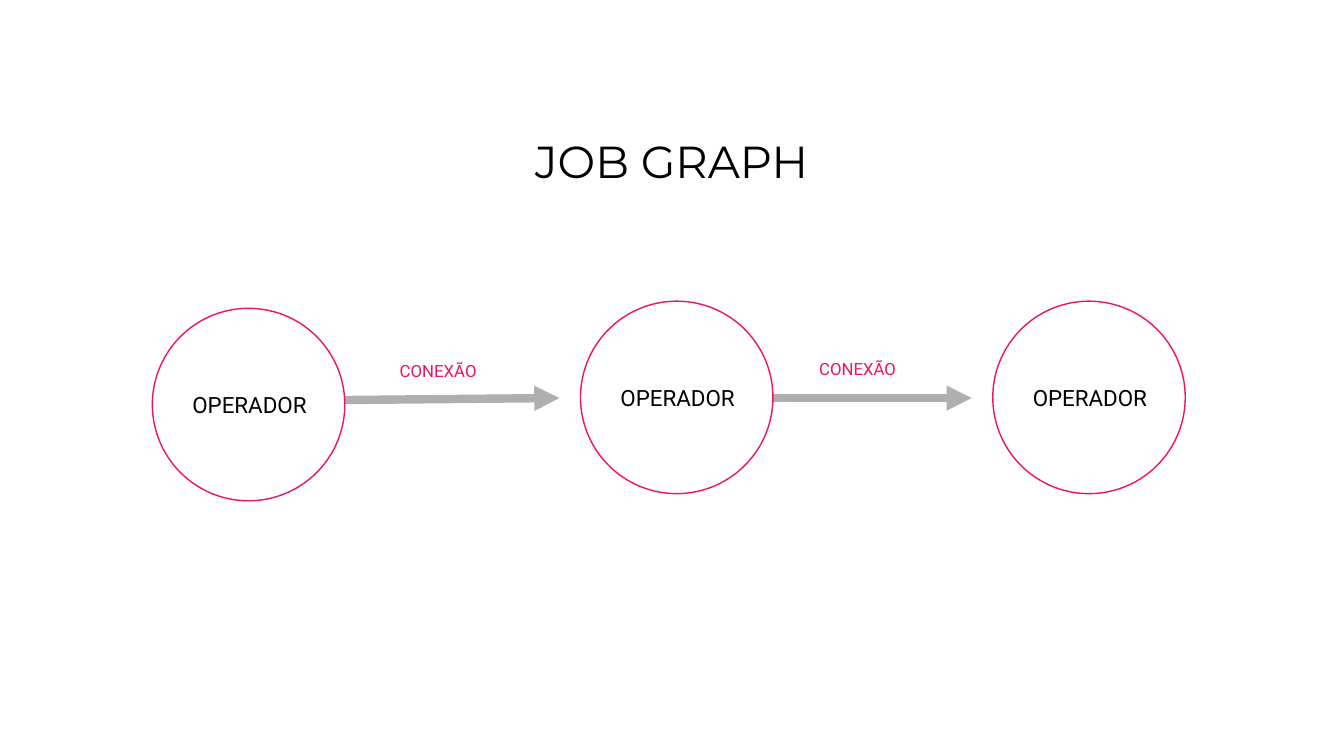
from lxml.etree import SubElement
from pptx import Presentation
from pptx.dml.color import RGBColor
from pptx.enum.shapes import MSO_CONNECTOR, MSO_SHAPE
from pptx.enum.text import MSO_ANCHOR, MSO_AUTO_SIZE, PP_ALIGN
from pptx.oxml.ns import qn
from pptx.util import Cm, Pt

BLACK = RGBColor(0x00, 0x00, 0x00)
WHITE = RGBColor(0xFF, 0xFF, 0xFF)
GRAY = RGBColor(0xAF, 0xAF, 0xAF)
PINK = RGBColor(0xED, 0x14, 0x5B)

DIAMETER = 4.85
ARROW_GAP = 0.53
operators = [(3.84, 7.77), (14.63, 7.59), (25.02, 7.59)]
arrow_heights = [(10.08, 10.03), (10.03, 10.03)]
labels = [(9.37, 8.97), (19.94, 8.92)]


def write(shape, text, font_name, size, color, alignment):
    frame = shape.text_frame
    frame.text = text
    frame.word_wrap = True
    paragraph = frame.paragraphs[0]
    paragraph.alignment = alignment
    font = paragraph.runs[0].font
    font.name = font_name
    font.size = Pt(size)
    font.color.rgb = color


presentation = Presentation()
presentation.slide_width = Cm(33.87)
presentation.slide_height = Cm(19.05)
slide = presentation.slides.add_slide(presentation.slide_layouts[5])

title = slide.shapes.title
title.left, title.top, title.width, title.height = Cm(5.54), Cm(3.23), Cm(22.78), Cm(1.63)
write(title, "JOB GRAPH", "Montserrat", 32, BLACK, PP_ALIGN.CENTER)
title.text_frame.vertical_anchor = MSO_ANCHOR.TOP
title.text_frame.auto_size = MSO_AUTO_SIZE.SHAPE_TO_FIT_TEXT

# Each arrow runs from one operator to just before the next
for (left, _), (next_left, _), (start_y, end_y) in zip(operators, operators[1:], arrow_heights):
    arrow = slide.shapes.add_connector(
        MSO_CONNECTOR.STRAIGHT,
        Cm(left + DIAMETER), Cm(start_y), Cm(next_left - ARROW_GAP), Cm(end_y))
    arrow.line.color.rgb = GRAY
    arrow.line.width = Pt(6)
    SubElement(arrow.line._get_or_add_ln(), qn("a:tailEnd"), type="triangle")
    SubElement(arrow._element.spPr, qn("a:effectLst"))

for left, top in operators:
    circle = slide.shapes.add_shape(
        MSO_SHAPE.OVAL, Cm(left), Cm(top), Cm(DIAMETER), Cm(DIAMETER))
    circle.shadow.inherit = False
    circle.fill.solid()
    circle.fill.fore_color.rgb = WHITE
    circle.line.color.rgb = PINK
    circle.line.width = Pt(1)
    write(circle, "OPERADOR", "Roboto", 16, BLACK, PP_ALIGN.RIGHT)
    circle.text_frame.margin_left = 0
    circle.text_frame.vertical_anchor = MSO_ANCHOR.MIDDLE

for left, top in labels:
    label = slide.shapes.add_textbox(Cm(left), Cm(top), Cm(3.35), Cm(0.77))
    write(label, "CONEXÃO", "Roboto", 12, PINK, PP_ALIGN.CENTER)
    label.text_frame.auto_size = MSO_AUTO_SIZE.SHAPE_TO_FIT_TEXT

presentation.save("out.pptx")
